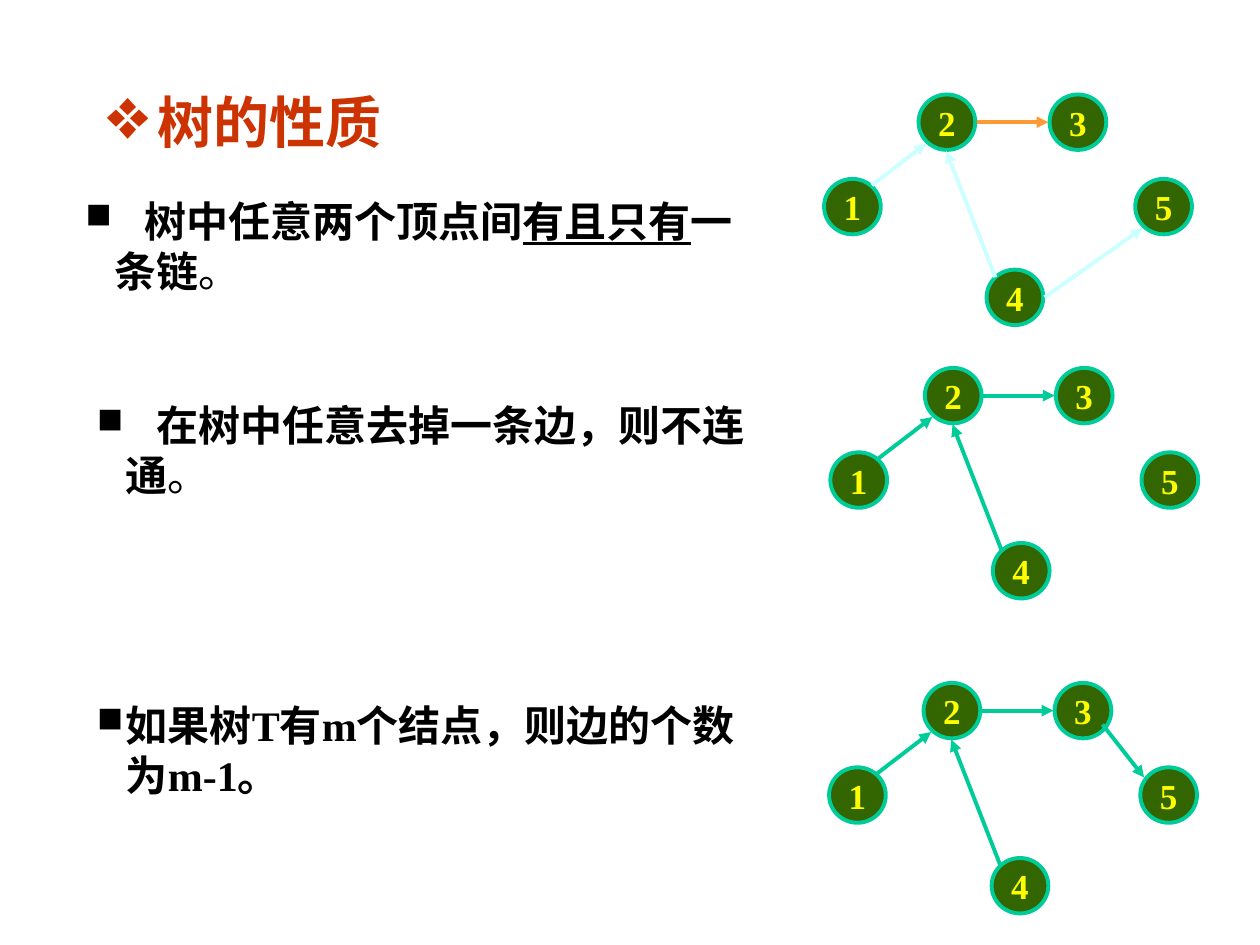
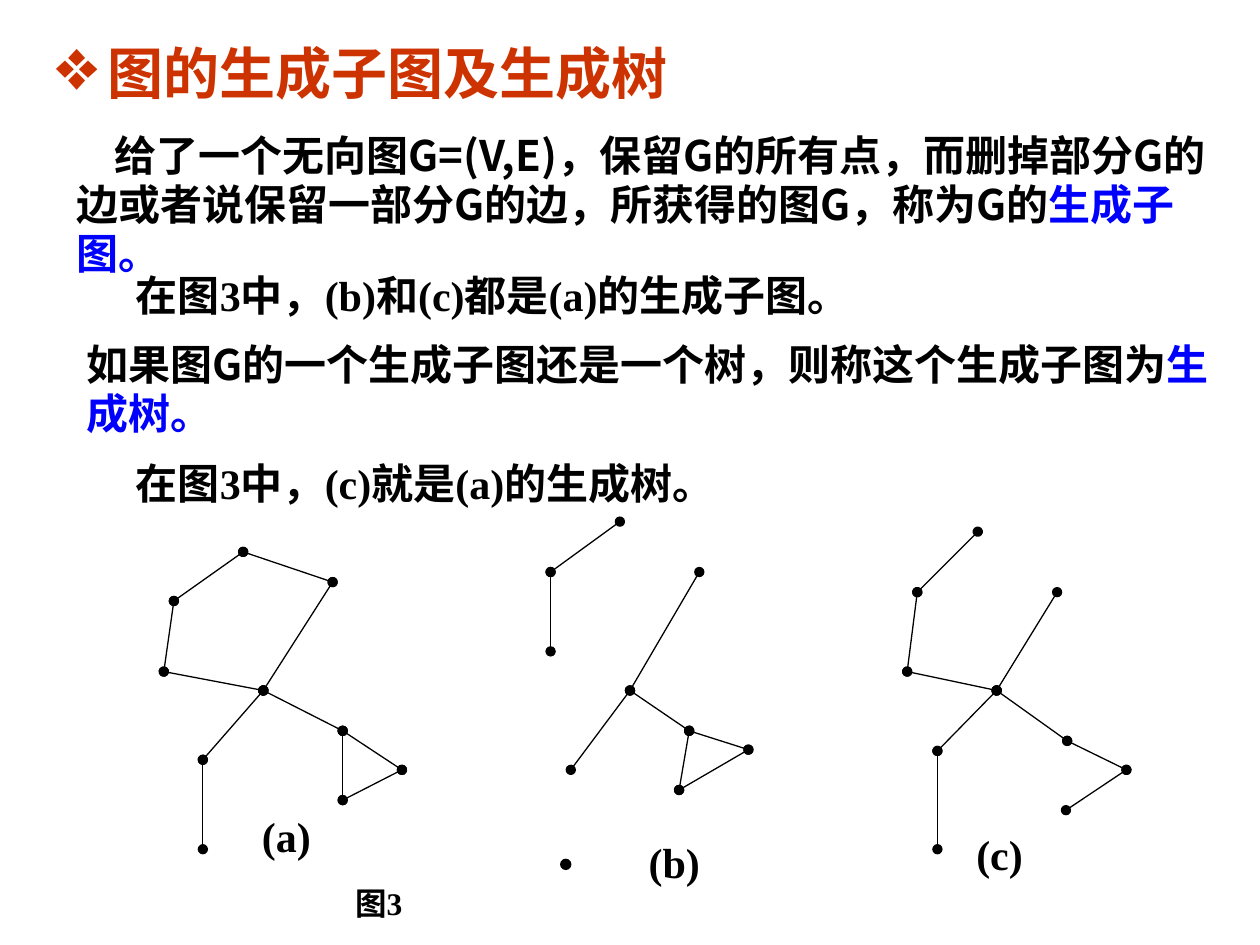
from pptx import Presentation
from pptx.dml.color import RGBColor
from pptx.enum.shapes import MSO_CONNECTOR, MSO_SHAPE
from pptx.enum.text import MSO_ANCHOR, MSO_AUTO_SIZE, PP_ALIGN
from pptx.oxml.ns import qn
from pptx.util import Inches, Pt
from lxml.etree import SubElement

RED, BLACK, BLUE, WHITE = "CC3300", "000000", "0000FF", "FFFFFF"
GREEN, TEAL, YELLOW = "336600", "00CC99", "FFFF00"
PALE, ORANGE = "CCFFFF", "FF9933"
SERIF, SANS = "Times New Roman", "Noto Sans CJK SC"

# Tree diagram: nodes and arrows relative to the diagram's corner
NODE_SIZE = (0.45, 0.44)
NODES = {"1": (0, 0.67), "2": (0.75, 0), "3": (1.79, 0),
         "4": (1.29, 1.39), "5": (2.47, 0.67)}
ARROWS = {"12": ((0.38, 0.72), (0.81, 0.39)),
          "23": ((1.21, 0.22), (1.78, 0.22)),
          "42": ((1.36, 1.45), (0.97, 0.45)),
          "45": ((1.75, 1.61), (2.53, 1.06)),
          "35": ((2.17, 0.33), (2.5, 0.75))}


def rgb(value):
    return RGBColor.from_string(value)


def inches(*values):
    return [Inches(v) for v in values]


def format_run(r, size, color, font=SERIF, bold=True):
    f = r.font
    f.size, f.bold, f.name = Pt(size), bold, font
    f.color.rgb = rgb(color)
    SubElement(r._r.get_or_add_rPr(), qn("a:ea")).set("typeface", SANS)


def add_run(p, text, size=24, color=BLACK, font=SERIF, bold=True):
    r = p.add_run()
    r.text = text
    format_run(r, size, color, font, bold)
    return r


def set_indent(p, left, first):
    pPr = p._p.get_or_add_pPr()
    pPr.set("marL", str(Inches(left)))
    pPr.set("indent", str(Inches(first)))
    return pPr


def set_bullet(p, char, color, hang, percent):
    pPr = set_indent(p, hang, -hang)
    buClr = SubElement(pPr, qn("a:buClr"))
    SubElement(buClr, qn("a:srgbClr")).set("val", color)
    SubElement(pPr, qn("a:buSzPct")).set("val", str(percent * 1000))
    SubElement(pPr, qn("a:buChar")).set("char", char)


def add_title_slide(prs, text, box):
    s = prs.slides.add_slide(prs.slide_layouts[5])
    sp = s.shapes.title
    sp.left, sp.top, sp.width, sp.height = inches(*box)
    tf = sp.text_frame
    tf.text = text
    tf.auto_size = MSO_AUTO_SIZE.NONE
    tf.vertical_anchor = MSO_ANCHOR.MIDDLE
    p = tf.paragraphs[0]
    set_bullet(p, "❖", RED, 0.4, 130)
    p.alignment = PP_ALIGN.LEFT
    format_run(p.runs[0], 32, RED)
    return s


def add_text(s, box, wrap=True):
    sp = s.shapes.add_textbox(*inches(*box))
    sp.text_frame.word_wrap = wrap
    return sp, sp.text_frame.paragraphs[0]


def add_line(s, start, end, color, width, head=None, tail=None):
    c = s.shapes.add_connector(MSO_CONNECTOR.STRAIGHT, *inches(*start, *end))
    c.line.color.rgb = rgb(color)
    c.line.width = Pt(width)
    ln = c.line._get_or_add_ln()
    for tag, kind in (("a:headEnd", head), ("a:tailEnd", tail)):
        if kind:
            SubElement(ln, qn(tag)).set("type", kind)
    SubElement(c._element.spPr, qn("a:effectLst"))


def add_oval(s, box, fill, line, width):
    sp = s.shapes.add_shape(MSO_SHAPE.OVAL, *inches(*box))
    sp.shadow.inherit = False
    sp.fill.solid()
    sp.fill.fore_color.rgb = rgb(fill)
    sp.line.color.rgb = rgb(line)
    sp.line.width = Pt(width)
    return sp


def add_property(s, box, parts, gap=False):
    """One bulleted property; gap widens the space after the bullet."""
    _, p = add_text(s, box)
    set_bullet(p, "■", BLACK, 0.23, 85)
    if gap:
        add_run(p, " ").font._element.set("spc", "1200")
    for text, bold, underline in parts:
        r = add_run(p, text, bold=bold)
        if underline:
            r.font.underline = True


def add_tree(s, x, y, arrows):
    """Five numbered nodes and the arrows given as {edge: colour}."""
    for label, (dx, dy) in NODES.items():
        sp = add_oval(s, (x + dx, y + dy, *NODE_SIZE), GREEN, TEAL, 2.25)
        tf = sp.text_frame
        tf.word_wrap = False
        tf.vertical_anchor = MSO_ANCHOR.MIDDLE
        p = tf.paragraphs[0]
        p.alignment = PP_ALIGN.CENTER
        add_run(p, label, 20, YELLOW)
    for edge, color in arrows.items():
        (x1, y1), (x2, y2) = ARROWS[edge]
        add_line(s, (x + x1, y + y1), (x + x2, y + y2), color, 2.25,
                 tail="triangle")


def add_definition(s, box, text, term, first=0):
    _, p = add_text(s, box)
    set_indent(p, 0, first)
    p.line_spacing = Pt(28)
    add_run(p, text, font=SANS)
    add_run(p, term, color=BLUE, font=SANS)


def add_remark(s, box, text):
    _, p = add_text(s, box, wrap=False)
    p.line_spacing = Pt(28)
    add_run(p, text)


def add_graph(s, x, y, points, chains, caption, caption_at):
    """Dotted edges along each chain of point names, and a caption."""
    at = {k: (x + dx, y + dy) for k, (dx, dy) in points.items()}
    for chain in chains:
        for a, b in zip(chain, chain[1:]):
            add_line(s, at[a], at[b], BLACK, 0.75, "oval", "oval")
    dx, dy = caption_at
    _, p = add_text(s, (x + dx, y + dy, 0.8, 0.5))
    add_run(p, caption)


def build_properties(prs):
    s = add_title_slide(prs, "树的性质", (0.75, 0.67, 2.75, 0.58))
    add_tree(s, 6.54, 0.75,
             {"12": PALE, "23": ORANGE, "42": PALE, "45": PALE})
    tree = dict.fromkeys(("12", "23", "42"), TEAL)
    add_tree(s, 6.59, 2.92, tree)
    add_tree(s, 6.58, 5.42, {**tree, "35": TEAL})
    add_property(s, (0.58, 1.5, 5.49, 0.9),
                 [("树中任意两个顶点间", True, False),
                  ("有且只有", True, True),
                  ("一条链", True, False), ("。", False, False)], gap=True)
    add_property(s, (0.67, 3.12, 5.49, 0.9),
                 [("在树中任意去掉一条边，则不连通", True, False),
                  ("。", False, False)], gap=True)
    add_property(s, (0.67, 5.5, 5.5, 0.9),
                 [("如果树T有m个结点，则边的个数为m-1。", True, False)])


def build_spanning(prs):
    s = add_title_slide(prs, "图的生成子图及生成树", (0.35, 0.28, 5.2, 0.58))

    # Figure 3
    sp, p = add_text(s, (2.72, 6.97, 1.42, 0.4))
    sp.fill.solid()
    sp.fill.fore_color.rgb = rgb(WHITE)
    add_run(p, "图3", 18)
    add_graph(s, 1.3, 4.38,
              {"A": (0.63, 0), "B": (1.34, 0.24), "C": (0.08, 0.39),
               "D": (0, 0.95), "E": (0.79, 1.1), "F": (1.42, 1.42),
               "G": (1.89, 1.73), "H": (1.42, 1.97), "I": (0.31, 1.65),
               "J": (0.31, 2.36)},
              ("CABEFHGF", "CDEIJ"), "(a)", (0.68, 2))
    add_graph(s, 4.37, 4.14,
              {"A": (0.55, 0), "B": (1.18, 0.4), "C": (0, 0.4),
               "D": (0, 1.03), "E": (0.63, 1.34), "F": (1.1, 1.66),
               "G": (1.57, 1.81), "H": (1.02, 2.13), "I": (0.16, 1.97)},
              ("ACD", "BEFHGF", "EI"), "(b)", (0.68, 2.45))
    add_oval(s, (4.45, 6.82, 0.08, 0.08), BLACK, BLACK, 0.75)
    add_graph(s, 7.2, 4.22,
              {"A": (0.56, 0), "B": (1.19, 0.48), "C": (0.08, 0.48),
               "D": (0, 1.11), "E": (0.71, 1.26), "F": (1.27, 1.66),
               "G": (1.74, 1.89), "H": (1.26, 2.21), "I": (0.24, 1.74),
               "J": (0.24, 2.52)},
              ("ACDEB", "EFGH", "EIJ"), "(c)", (0.45, 2.31))

    # Definitions and remarks
    add_definition(s, (0.51, 0.99, 9.21, 1.27),
                   "给了一个无向图G=(V,E)，保留G的所有点，而删掉部分G的边"
                   "或者说保留一部分G的边，所获得的图G，称为G的",
                   "生成子图。", first=0.3)
    add_definition(s, (0.59, 2.65, 9.21, 0.88),
                   "如果图G的一个生成子图还是一个树，则称这个生成子图为",
                   "生成树。")
    add_remark(s, (0.98, 2.1, 6.5, 0.49),
               "在图3中，(b)和(c)都是(a)的生成子图。")
    add_remark(s, (0.98, 3.59, 5.27, 0.49), "在图3中，(c)就是(a)的生成树。")


def main():
    prs = Presentation()
    prs.slide_width, prs.slide_height = inches(10, 7.5)
    build_properties(prs)
    build_spanning(prs)
    prs.save("out.pptx")


if __name__ == "__main__":
    main()
